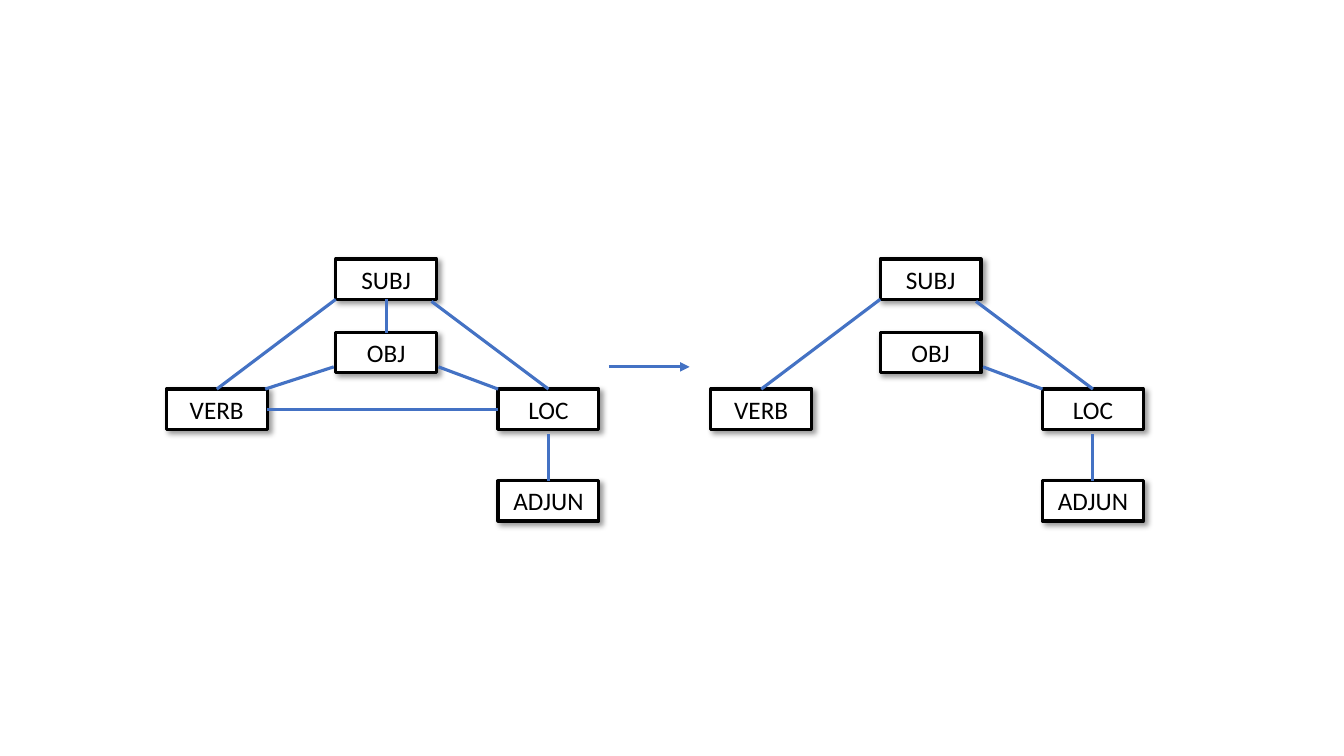
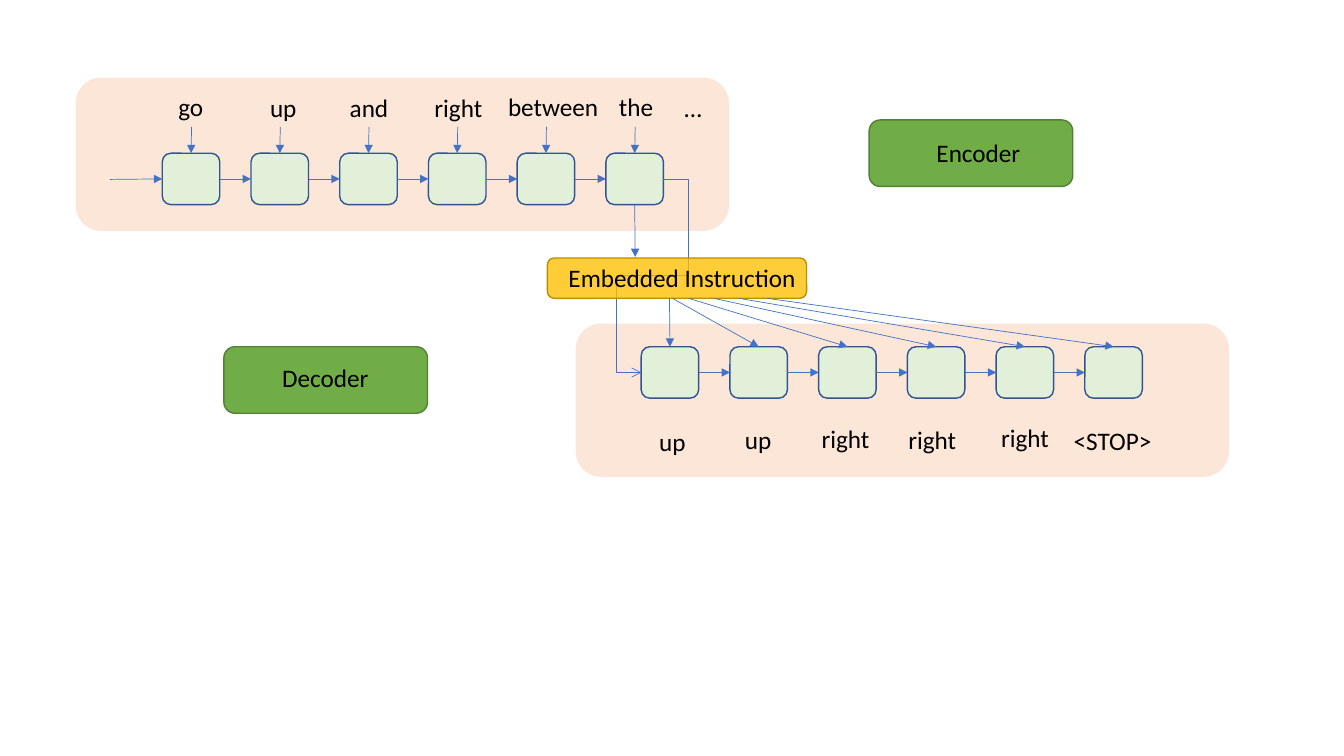
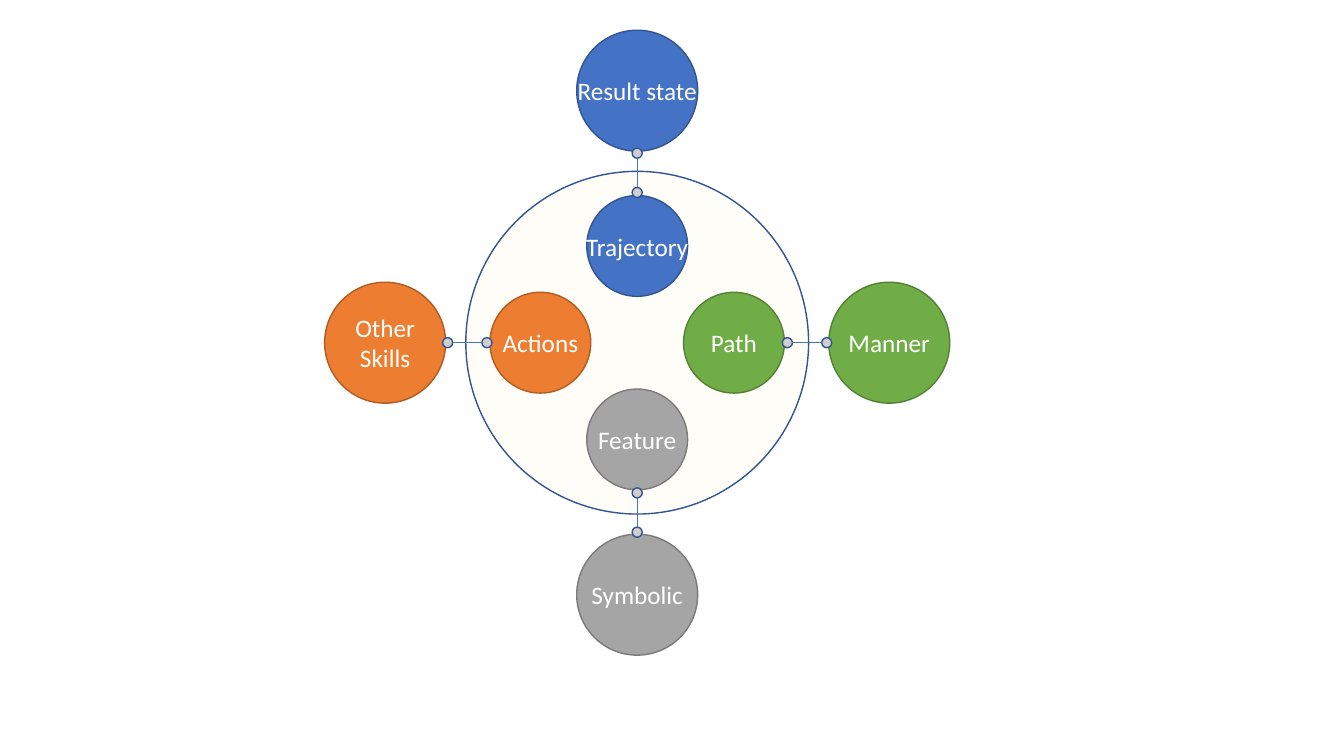
from dataclasses import dataclass

from lxml.etree import SubElement
from pptx import Presentation
from pptx.dml.color import RGBColor
from pptx.enum.shapes import MSO_CONNECTOR, MSO_SHAPE
from pptx.enum.text import MSO_ANCHOR, MSO_AUTO_SIZE, PP_ALIGN
from pptx.oxml.ns import qn
from pptx.util import Inches, Pt

RECTANGLE = MSO_SHAPE.RECTANGLE
ROUNDED = MSO_SHAPE.ROUNDED_RECTANGLE
ELLIPSE = MSO_SHAPE.OVAL
STRAIGHT = MSO_CONNECTOR.STRAIGHT
ELBOW = MSO_CONNECTOR.ELBOW
LEFT = PP_ALIGN.LEFT
CENTER = PP_ALIGN.CENTER
TOP = MSO_ANCHOR.TOP
MIDDLE = MSO_ANCHOR.MIDDLE
GROW = MSO_AUTO_SIZE.SHAPE_TO_FIT_TEXT
SITE_TOP, SITE_LEFT, SITE_BOTTOM, SITE_RIGHT = range(4)
BLANK_LAYOUT = 6


@dataclass(frozen=True)
class Theme:
    font: str = "Calibri"
    text_size: int = 18
    thin: float = 0.5
    outline: float = 1
    thick: float = 2.25
    black: str = "000000"
    white: str = "FFFFFF"
    blue: str = "4472C4"
    dark_blue: str = "325491"
    orange: str = "ED7D31"
    dark_orange: str = "AF5C24"
    green: str = "70AD47"
    dark_green: str = "538035"
    pale_green: str = "E2F0D9"
    gray: str = "A5A5A5"
    dark_gray: str = "7A7A7A"
    dot_gray: str = "D0CECE"
    gold: str = "FFC000"
    dark_gold: str = "BD8E00"
    pale_gold: str = "FFD966"


THEME = Theme()


@dataclass(frozen=True)
class Anchor:
    shape: object
    site: int

    @property
    def point(self):
        shape = self.shape
        middle_x = shape.left + shape.width // 2
        middle_y = shape.top + shape.height // 2
        return (
            (middle_x, shape.top),
            (shape.left, middle_y),
            (middle_x, shape.top + shape.height),
            (shape.left + shape.width, middle_y),
        )[self.site]


def add_box(page, kind, left, top, width, height, fill, line=None,
            line_width=THEME.outline, opacity=100):
    box = page.shapes.add_shape(
        kind, Inches(left), Inches(top), Inches(width), Inches(height))
    box.shadow.inherit = False
    box.fill.solid()
    box.fill.fore_color.rgb = RGBColor.from_string(fill)
    if opacity < 100:
        color = box.element.spPr.find(qn("a:solidFill"))[0]
        SubElement(color, qn("a:alpha"), val=str(opacity * 1000))
    if line:
        box.line.color.rgb = RGBColor.from_string(line)
        box.line.width = Pt(line_width)
    else:
        box.line.fill.background()
    return box


def add_drop_shadow(box):
    effects = box.element.spPr.find(qn("a:effectLst"))
    shadow = SubElement(effects, qn("a:outerShdw"), blurRad=str(Pt(4)),
                        dist=str(Pt(3)), dir="2700000", algn="tl", rotWithShape="0")
    color = SubElement(shadow, qn("a:srgbClr"), val=THEME.black)
    SubElement(color, qn("a:alpha"), val="40000")


def write(box, text, color=THEME.black, align=LEFT, anchor=TOP, wrap=False):
    frame = box.text_frame
    frame.word_wrap = wrap
    frame.vertical_anchor = anchor
    para = frame.paragraphs[0]
    para.text = text
    para.alignment = align
    para.font.name = THEME.font
    para.font.size = Pt(THEME.text_size)
    para.font.color.rgb = RGBColor.from_string(color)


def add_label(page, text, left, top, width, wrap=False):
    label = page.shapes.add_textbox(
        Inches(left), Inches(top), Inches(width), Inches(0.4))
    write(label, text, wrap=wrap)
    label.text_frame.auto_size = GROW


def locate(end):
    if isinstance(end, Anchor):
        return end.point
    return Inches(end[0]), Inches(end[1])


def connect(page, start, end, width=THEME.thin, head=None, kind=STRAIGHT):
    connector = page.shapes.add_connector(kind, *locate(start), *locate(end))
    if isinstance(start, Anchor):
        connector.begin_connect(start.shape, start.site)
    if isinstance(end, Anchor):
        connector.end_connect(end.shape, end.site)
    connector.line.color.rgb = RGBColor.from_string(THEME.blue)
    connector.line.width = Pt(width)
    properties = connector.element.spPr
    if head:
        SubElement(properties.find(qn("a:ln")), qn("a:tailEnd"), type=head)
    SubElement(properties, qn("a:effectLst"))
    return connector


def add_loop_arrow(page, start, end, reach):
    connector = connect(page, start, end, head="arrow", kind=ELBOW)
    overshoot = Inches(reach) / connector.width
    geometry = connector.element.spPr.find(qn("a:prstGeom"))
    geometry.set("prst", "bentConnector5")
    for guide in list(geometry):
        geometry.remove(guide)
    guides = SubElement(geometry, qn("a:avLst"))
    for number, share in enumerate((-overshoot, 0.5, 1 + overshoot), 1):
        SubElement(guides, qn("a:gd"), name=f"adj{number}",
                   fmla=f"val {round(share * 100000)}")


def add_tree(page, left, complete):
    places = {
        "SUBJ": (1.68, 2.57),
        "VERB": (0, 3.86),
        "LOC": (3.29, 3.86),
        "OBJ": (1.68, 3.3),
        "ADJUN": (3.29, 4.77),
    }
    nodes = {}
    for name, (offset, top) in places.items():
        node = add_box(page, RECTANGLE, left + offset, top, 1, 0.4,
                       THEME.white, THEME.black, THEME.thick)
        add_drop_shadow(node)
        write(node, name, align=CENTER, wrap=True)
        nodes[name] = node

    links = [
        ((left + 1.68, 2.97), Anchor(nodes["VERB"], SITE_TOP)),
        ((left + 3.79, 4.31), Anchor(nodes["ADJUN"], SITE_TOP)),
        ((left + 2.63, 2.99), Anchor(nodes["LOC"], SITE_TOP)),
        ((left + 2.7, 3.64), (left + 3.29, 3.86)),
    ]
    if complete:
        links += [
            (Anchor(nodes["LOC"], SITE_LEFT), Anchor(nodes["VERB"], SITE_RIGHT)),
            (Anchor(nodes["SUBJ"], SITE_BOTTOM), Anchor(nodes["OBJ"], SITE_TOP)),
            ((left + 0.98, 3.86), (left + 1.66, 3.64)),
        ]
    for start, end in links:
        connect(page, start, end, THEME.thick)


def build_tree_page(page):
    add_tree(page, 1.65, complete=True)
    add_tree(page, 7.05, complete=False)
    connect(page, (6.04, 3.64), (6.84, 3.64), THEME.thick, "triangle")


def add_cell_chain(page, panel_left, panel_top, first_left, top):
    add_box(page, ROUNDED, panel_left, panel_top, 6.48, 1.52,
            THEME.orange, opacity=19)
    cells = [
        add_box(page, ROUNDED, first_left + 0.88 * index, top, 0.57, 0.51,
                THEME.pale_green, THEME.dark_blue)
        for index in range(6)
    ]
    for cell, following in zip(cells, cells[1:]):
        connect(page, Anchor(cell, SITE_RIGHT), Anchor(following, SITE_LEFT),
                head="triangle")
    return cells


def add_module(page, text, left, top, text_left, text_top, text_width):
    add_box(page, ROUNDED, left, top, 2.02, 0.66, THEME.green, THEME.dark_green)
    add_label(page, text, text_left, text_top, text_width)


def build_network_page(page):
    encoder = add_cell_chain(page, 0.75, 0.77, 1.61, 1.52)
    decoder = add_cell_chain(page, 5.71, 3.21, 6.36, 3.44)

    words = (
        ("go", 1.67, 0.86, 0.45),
        ("up", 2.58, 0.87, 0.47),
        ("and", 3.37, 0.87, 0.59),
        ("right", 4.21, 0.87, 0.68),
        ("between", 4.94, 0.86, 1.11),
        ("the", 6.04, 0.86, 0.55),
        ("…", 6.69, 0.87, 0.38),
        ("up", 6.44, 4.18, 0.47),
        ("up", 7.29, 4.16, 0.47),
        ("right", 8.05, 4.15, 0.68),
        ("right", 8.91, 4.16, 0.68),
        ("right", 9.83, 4.14, 0.68),
        ("<STOP>", 10.55, 4.17, 0.98),
    )
    for word in words:
        add_label(page, *word)

    first = Anchor(encoder[0], SITE_LEFT)
    connect(page, (1.09, first.point[1].inches if hasattr(first.point[1], "inches")
                   else 1.78), first, head="triangle")
    for index, cell in enumerate(encoder):
        connect(page, (1.9 + 0.88 * index, 1.26), Anchor(cell, SITE_TOP),
                head="triangle")

    add_module(page, "Encoder", 8.62, 1.19, 9.19, 1.31, 1.04)
    add_module(page, "Decoder", 2.22, 3.44, 2.7, 3.55, 1.07)

    add_loop_arrow(page, Anchor(encoder[-1], SITE_RIGHT),
                   Anchor(decoder[0], SITE_LEFT), 0.25)
    add_box(page, ROUNDED, 5.43, 2.56, 2.57, 0.4,
            THEME.gold, THEME.dark_gold, opacity=78)
    add_label(page, "Embedded Instruction", 5.54, 2.55, 2.57, wrap=True)
    connect(page, Anchor(encoder[-1], SITE_BOTTOM), (6.3, 2.55), head="triangle")
    for start, cell in zip((6.64, 6.67, 6.83, 7.08, 7.33, 7.61), decoder):
        connect(page, (start, 2.96), Anchor(cell, SITE_TOP), head="triangle")


def add_circle(page, center, radius, fill, line, opacity=100):
    x, y = center
    return add_box(page, ELLIPSE, x - radius, y - radius, 2 * radius, 2 * radius,
                   fill, line, opacity=opacity)


def build_skill_page(page):
    center_x, center_y = 6.32, 3.4
    add_circle(page, (center_x, center_y), 1.7, THEME.pale_gold,
               THEME.dark_blue, opacity=5)
    branches = (
        ("Trajectory", "Result state", 0, -1, THEME.blue, THEME.dark_blue),
        ("Actions", "Other Skills", -1, 0, THEME.orange, THEME.dark_orange),
        ("Feature", "Symbolic", 0, 1, THEME.gray, THEME.dark_gray),
        ("Path", "Manner", 1, 0, THEME.green, THEME.dark_green),
    )
    for inner, outer, step_x, step_y, fill, line in branches:
        def along(distance):
            return center_x + step_x * distance, center_y + step_y * distance

        for text, distance, radius in ((inner, 0.96, 0.5), (outer, 2.5, 0.6)):
            circle = add_circle(page, along(distance), radius, fill, line)
            write(circle, text, THEME.white, CENTER, MIDDLE,
                  wrap=text == "Other Skills")
        for distance in (1.49, 1.88):
            add_circle(page, along(distance), 0.05, THEME.dot_gray, THEME.dark_blue)
        connect(page, along(1.54), along(1.83))


def main():
    deck = Presentation()
    deck.slide_width = Inches(13.33)
    deck.slide_height = Inches(7.5)
    for build in (build_tree_page, build_network_page, build_skill_page):
        build(deck.slides.add_slide(deck.slide_layouts[BLANK_LAYOUT]))
    deck.save("out.pptx")


if __name__ == "__main__":
    main()
